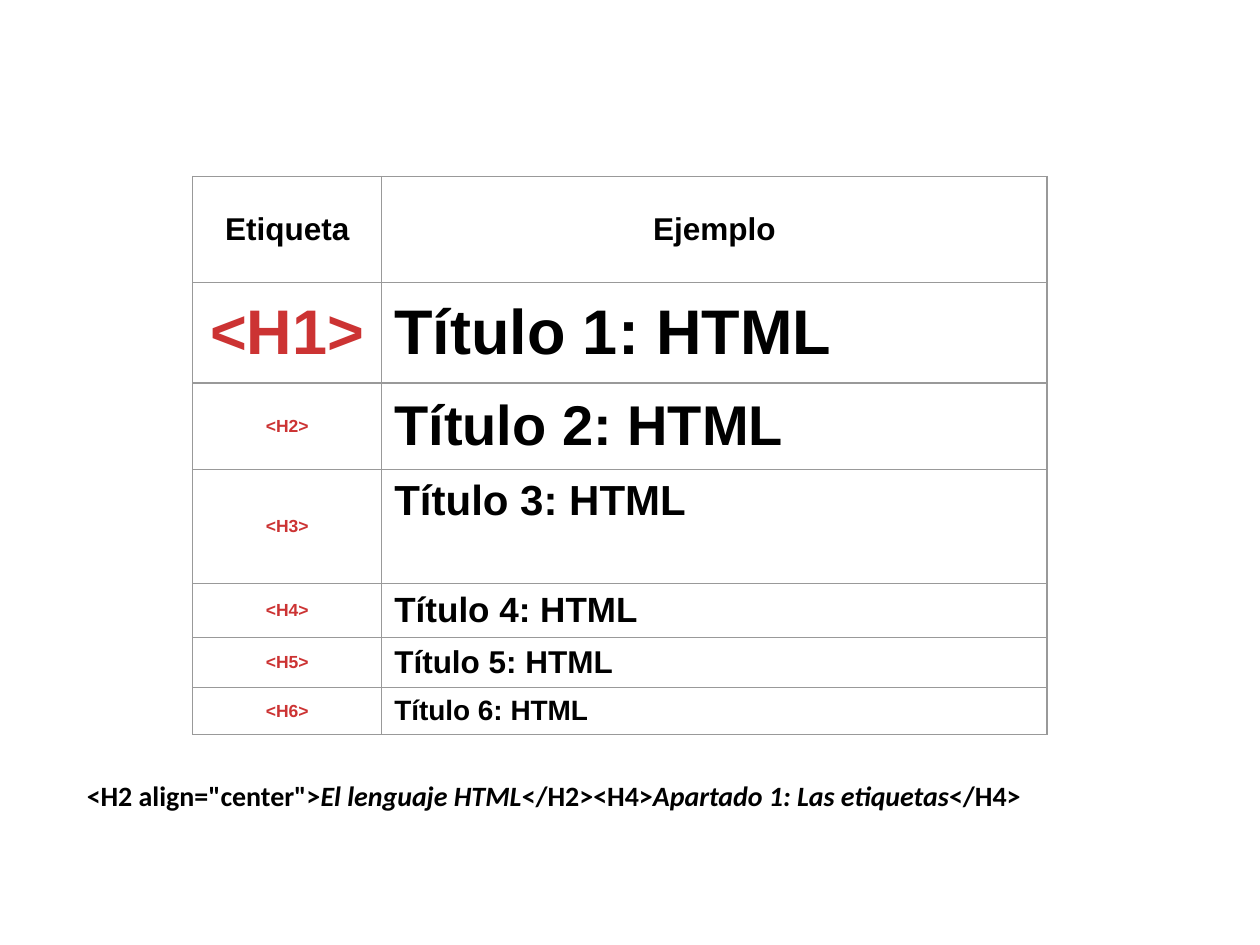
from dataclasses import dataclass
from typing import Any

from lxml.etree import SubElement
from pptx import Presentation
from pptx.dml.color import RGBColor
from pptx.enum.text import MSO_ANCHOR as Anchor, MSO_AUTO_SIZE as AutoSize, PP_ALIGN as Align
from pptx.oxml.ns import qn
from pptx.util import Inches, Pt


def colour(value):
    return RGBColor.from_string(value)


@dataclass
class SlideBuilder:
    page: Any
    table_font: str = "Arial"
    caption_font: str = "Calibri"
    ink: str = "000000"
    accent: str = "CC3333"
    grid: str = "999999"

    def add_span(self, para, text, color, **formats):
        span = para.add_run()
        span.text = text
        for name, value in formats.items():
            setattr(span.font, name, value)
        span.font.color.rgb = colour(color)

    def border(self, cell):
        properties = cell._tc.get_or_add_tcPr()
        for side in ("lnL", "lnR", "lnT", "lnB"):
            line = SubElement(properties, qn(f"a:{side}"), w=str(Pt(0.75)))
            fill = SubElement(line, qn("a:solidFill"))
            SubElement(fill, qn("a:srgbClr"), val=self.grid)

    def cell(self, cell, text, size, color, align):
        self.border(cell)
        cell.fill.background()
        cell.vertical_anchor = Anchor.MIDDLE
        para = cell.text_frame.paragraphs[0]
        para.alignment = align
        self.add_span(para, text.rstrip("\n"), color,
                      name=self.table_font, size=Pt(size), bold=True)
        if text.endswith("\n"):
            para.add_line_break()
            SubElement(para._p, qn("a:endParaRPr"), sz=str(size * 100), b="1")

    def table(self, left, top, widths, heights, rows):
        frame = self.page.shapes.add_table(
            len(heights), len(widths), Inches(left), Inches(top),
            Inches(sum(widths)), Inches(sum(heights)))
        table = frame.table
        table.first_row = table.horz_banding = False
        for column, width in zip(table.columns, widths):
            column.width = Inches(width)
        for row, height, contents in zip(table.rows, heights, rows):
            row.height = Inches(height)
            for cell, content in zip(row.cells, contents):
                self.cell(cell, *content)

    def caption(self, left, top, width, height, parts):
        box = self.page.shapes.add_textbox(
            Inches(left), Inches(top), Inches(width), Inches(height))
        frame = box.text_frame
        settings = {"word_wrap": True, "auto_size": AutoSize.SHAPE_TO_FIT_TEXT}
        for name, value in settings.items():
            setattr(frame, name, value)
        for text, italic in parts:
            self.add_span(frame.paragraphs[0], text, self.ink, name=self.caption_font,
                          size=Pt(16), bold=True, italic=italic)


def main():
    deck = Presentation()
    deck.slide_width, deck.slide_height = Inches(10), Inches(7.5)
    builder = SlideBuilder(deck.slides.add_slide(deck.slide_layouts[6]))

    rows = [[(title, 18, builder.ink, Align.CENTER) for title in ("Etiqueta", "Ejemplo")]]
    for level, size in enumerate((36, 32, 24, 20, 18, 16), start=1):
        tag_size = 36 if level == 1 else 10
        ending = "\n" if level == 3 else ""
        rows.append([
            (f"<H{level}>", tag_size, builder.accent, Align.CENTER),
            (f"Título {level}: HTML{ending}", size, builder.ink, Align.LEFT),
        ])
    builder.table(1.53, 1.4, (1.5, 5.28), (0.84, 0.8, 0.69, 0.9, 0.43, 0.4, 0.37), rows)

    builder.caption(0.59, 6.13, 8.72, 0.37, [
        ('<H2 align="center">', False),
        ("El lenguaje HTML", True),
        ("</H2><H4>", False),
        ("Apartado 1: Las etiquetas", True),
        ("</H4>", False),
    ])
    deck.save("out.pptx")


if __name__ == "__main__":
    main()
